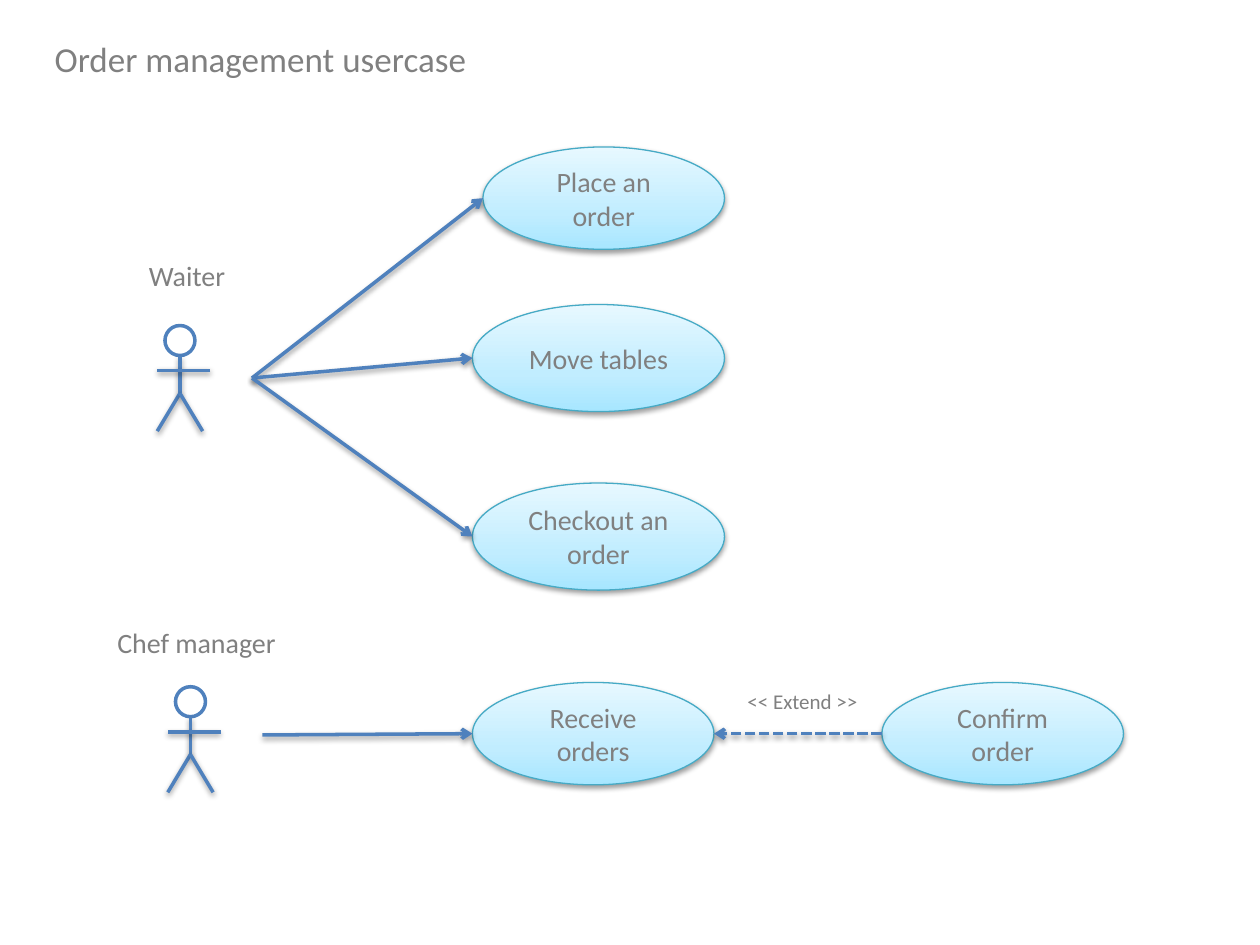
from lxml import etree
from pptx import Presentation
from pptx import util as u
from pptx.dml.color import RGBColor
from pptx.enum import dml, shapes, text
from pptx.oxml.ns import qn

COLORS = {"text": "808080", "stroke": "4F81BD", "outline": "46AAC5", "head": "FFFFFF"}
GRADIENT = {0: "A7E6FF", 35: "C1EDFF", 100: "E7F8FF"}
FONT = "Calibri"

# Use case ovals in grid cells: label -> left, top, width, height
USE_CASES = {
    "Place an order": (46, 14, 23, 9.75),
    "Move tables": (45, 29, 24, 10.2),
    "Checkout an order": (45, 46, 24, 10.2),
    "Receive orders": (45, 65, 23, 9.75),
    "Confirm order": (84, 65, 23, 9.75),
}


def cell(n):
    """Length of n grid cells, twelve to the inch."""
    return u.Inches(n / 12)


def rgb(name):
    return RGBColor.from_string(COLORS[name])


def add_shadow(parent):
    shadow = etree.SubElement(parent, qn("a:outerShdw"), blurRad="40000",
                              dist="20000", dir="5400000", rotWithShape="0")
    color = etree.SubElement(shadow, qn("a:srgbClr"), val="000000")
    etree.SubElement(color, qn("a:alpha"), val="38000")


def set_line(sp, color, width):
    sp.line.color.rgb = rgb(color)
    sp.line.width = u.Pt(width)


def set_text(sp, words, size, align):
    tf = sp.text_frame
    tf.text = words
    p = tf.paragraphs[0]
    p.alignment = align
    p.font.name, p.font.size = FONT, u.Pt(size)
    p.font.color.rgb = rgb("text")
    return tf


def add_line(parent, start, end, arrow=False, dashed=False):
    cx = parent.add_connector(shapes.MSO_CONNECTOR.STRAIGHT,
                              *(cell(n) for n in (*start, *end)))
    set_line(cx, "stroke", 2)
    if dashed:
        cx.line.dash_style = dml.MSO_LINE.SQUARE_DOT
    props = cx._element.spPr
    if arrow:
        etree.SubElement(props.find(qn("a:ln")), qn("a:tailEnd"), type="arrow")
    add_shadow(etree.SubElement(props, qn("a:effectLst")))


def add_oval(parent, left, top, width, height):
    sp = parent.add_shape(shapes.MSO_SHAPE.OVAL,
                          *(cell(n) for n in (left, top, width, height)))
    sp.shadow.inherit = False
    return sp


def add_use_case(parent, words, box):
    sp = add_oval(parent, *box)
    sp.fill.gradient()
    sp.fill.gradient_angle = 90
    set_line(sp, "outline", 0.75)
    props = sp._element.spPr
    stops = props.find(qn("a:gradFill")).find(qn("a:gsLst"))
    for stop in list(stops):
        stops.remove(stop)
    for pos, color in GRADIENT.items():
        stop = etree.SubElement(stops, qn("a:gs"), pos=str(pos * 1000))
        etree.SubElement(stop, qn("a:srgbClr"), val=color)
    add_shadow(props.find(qn("a:effectLst")))
    tf = set_text(sp, words, 16, text.PP_ALIGN.CENTER)
    tf.word_wrap = True
    tf.vertical_anchor = text.MSO_ANCHOR.MIDDLE


def add_actor(parent, x, top):
    """Stick figure centred on x."""
    size, limb, spread = 2.86, 3.6, 2.16
    neck, hip, arm = top + size, top + size + limb, top + 1.5 * size
    actor = parent.add_group_shape().shapes
    head = add_oval(actor, x - size / 2, top, size, size)
    head.fill.solid()
    head.fill.fore_color.rgb = rgb("head")
    set_line(head, "stroke", 2)
    add_line(actor, (x, neck), (x, hip))
    for side in (-spread, spread):
        add_line(actor, (x, hip), (x + side, hip + limb))
    add_line(actor, (x + 2.88, arm), (x - spread, arm))


def add_label(parent, words, box, size=16):
    sp = parent.add_textbox(*(cell(n) for n in box))
    fit_label(sp, words, size)


def fit_label(sp, words, size):
    tf = set_text(sp, words, size, text.PP_ALIGN.LEFT)
    tf.word_wrap = False
    tf.auto_size = text.MSO_AUTO_SIZE.SHAPE_TO_FIT_TEXT
    tf.vertical_anchor = text.MSO_ANCHOR.TOP


def side_point(words, right=False):
    left, top, width, height = USE_CASES[words]
    return left + width * right, top + height / 2


def main():
    prs = Presentation()
    prs.slide_width, prs.slide_height = u.Inches(10), u.Inches(7.5)
    slide = prs.slides.add_slide(prs.slide_layouts[5])
    sps = slide.shapes

    # Title
    title = sps.title
    title.left, title.top, title.width, title.height = map(cell, (4, 3, 42.8, 5.25))
    fit_label(title, "Order management usercase", 20)

    # Actors
    add_actor(sps, 17.14, 31)
    add_label(sps, "Waiter", (13, 24, 9.8, 4.4))
    add_actor(sps, 18.14, 65.4)
    add_label(sps, "Chef manager", (10, 59, 18.2, 4.4))

    # Use cases
    for words, box in USE_CASES.items():
        add_use_case(sps, words, box)

    # Links
    for words in ("Place an order", "Move tables", "Checkout an order"):
        add_line(sps, (24, 36), side_point(words), arrow=True)
    add_line(sps, (25, 70), side_point("Receive orders"), arrow=True)
    add_line(sps, side_point("Confirm order"), side_point("Receive orders", right=True),
             arrow=True, dashed=True)
    add_label(sps, "<< Extend >>", (70, 65, 13.1, 3.6), 12)

    prs.save("out.pptx")


main()
